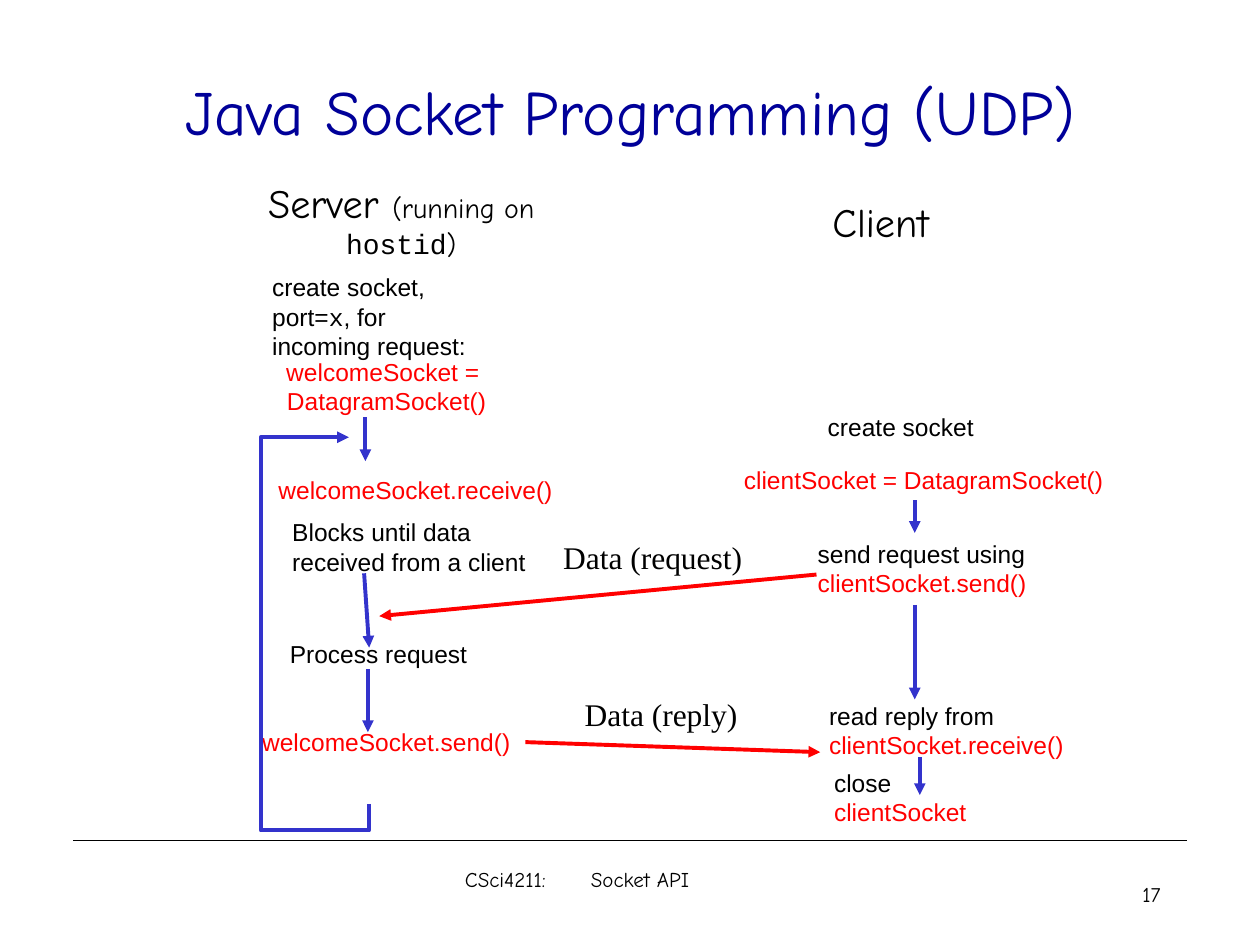
from lxml import etree
from pptx import Presentation
from pptx.dml.color import RGBColor
from pptx.enum.shapes import MSO_CONNECTOR
from pptx.enum.text import MSO_ANCHOR, PP_ALIGN
from pptx.oxml.ns import qn
from pptx.util import Pt

LEFT, CENTER, RIGHT = PP_ALIGN.LEFT, PP_ALIGN.CENTER, PP_ALIGN.RIGHT
TOP, MIDDLE = MSO_ANCHOR.TOP, MSO_ANCHOR.MIDDLE
STRAIGHT = MSO_CONNECTOR.STRAIGHT
PX = 9144
THEME = {
    "black": "000000", "navy": "000099", "red": "FF0000", "blue": "3333CC",
    "sans": "Arial", "comic": "Comic Neue", "mono": "Courier New", "serif": "Times New Roman",
    "title": 36, "heading": 23, "subheading": 16, "message": 18, "body": 14, "footer": 12,
    "rule": 0.75, "arrow": 2.25,
}

prs = Presentation()
prs.slide_width, prs.slide_height = 1000 * PX, 750 * PX
s = prs.slides.add_slide(prs.slide_layouts[6])


def add_text(lines, x, y, w, h, size="body", font="sans", color="black", align=LEFT,
             anchor=MIDDLE, wrap=False, inset=(0, 0, 4, 0), indent=6, tab=None):
    tf = s.shapes.add_textbox(x * PX, y * PX, w * PX, h * PX).text_frame
    tf.word_wrap, tf.vertical_anchor = wrap, anchor
    tf.margin_left, tf.margin_top, tf.margin_right, tf.margin_bottom = [m * PX for m in inset]
    for i, line in enumerate(lines):
        p = tf.paragraphs[0] if i == 0 else tf.add_paragraph()
        p.alignment = align
        pPr = p._p.get_or_add_pPr()
        pPr.set("marL", str(indent * PX))
        pPr.set("indent", "0")
        if tab:
            stops = etree.SubElement(pPr, qn("a:tabLst"))
            etree.SubElement(stops, qn("a:tab"), pos=str(tab * PX), algn="l")
        for text, style in [(line, {})] if isinstance(line, str) else line:
            r = p.add_run()
            r.text = text
            r.font.size = Pt(THEME[style.get("size", size)])
            r.font.name = THEME[style.get("font", font)]
            r.font.color.rgb = RGBColor.from_string(THEME[style.get("color", color)])


def style_line(sp, color="blue", width="arrow", head=True):
    sp.line.color.rgb = RGBColor.from_string(THEME[color])
    sp.line.width = Pt(THEME[width])
    spPr = sp._element.spPr
    if head:
        etree.SubElement(spPr.find(qn("a:ln")), qn("a:tailEnd"), type="triangle")
    etree.SubElement(spPr, qn("a:effectLst"))


RED = {"color": "red"}
SMALL = {"size": "subheading"}
FOOTER_INSET = (10, 5, 10, 5)

rule = s.shapes.add_connector(STRAIGHT, 58 * PX, 667 * PX, 942 * PX, 667 * PX)
style_line(rule, color="black", width="rule", head=False)

add_text(["Java Socket Programming (UDP)"], 75, 0, 850, 175, size="title", font="comic",
         color="navy", align=CENTER, wrap=True, inset=(10, 5, 13, 5), indent=4)

add_text([[("Server ", {}), ("(running on ", SMALL),
           ("hostid", {"size": "subheading", "font": "mono"}), (")", SMALL)]],
         166, 155, 303, 38, size="heading", font="comic", align=CENTER, wrap=True)
add_text(["Client"], 654, 157, 88, 38, size="heading", font="comic", align=CENTER)

add_text(["create socket,", [("port=", {}), ("x", {"font": "mono"}), (", for", {})],
          "incoming request:"], 210, 216, 165, 70)
add_text(["welcomeSocket = ", "DatagramSocket()"], 220, 283, 170, 47, color="red", align=RIGHT)
add_text(["welcomeSocket.receive()"], 215, 377, 229, 23, color="red")
add_text(["Blocks until data", "received from a client"], 226, 410, 234, 48, wrap=True)
add_text(["Process request"], 224, 507, 152, 23)
add_text(["welcomeSocket.send()"], 202, 577, 208, 23, color="red")

add_text(["create socket"], 651, 325, 143, 27, wrap=True)
add_text(["clientSocket = DatagramSocket()"], 584, 369, 296, 23, color="red", align=RIGHT)
add_text(["send request using", [("clientSocket.send()", RED)]], 643, 427, 210, 48, wrap=True)
add_text(["read reply from", [("clientSocket.receive()", RED)]], 652, 556, 197, 47)
add_text(["close", [("clientSocket", RED)]], 656, 609, 116, 47)

add_text(["Data (request)"], 441, 427, 153, 30, size="message", font="serif", anchor=TOP)
add_text(["Data (reply)"], 458, 552, 132, 30, size="message", font="serif", anchor=TOP)

for color, x1, y1, x2, y2 in [
    ("blue", 290, 331, 290, 366),
    ("blue", 289, 455, 293, 514),
    ("blue", 292, 531, 292, 581),
    ("blue", 726, 397, 726, 423),
    ("blue", 726, 480, 726, 555),
    ("blue", 730, 601, 730, 631),
    ("red", 648, 456, 301, 489),
    ("red", 417, 589, 651, 597),
]:
    arrow = s.shapes.add_connector(STRAIGHT, x1 * PX, y1 * PX, x2 * PX, y2 * PX)
    style_line(arrow, color=color)

outline = s.shapes.build_freeform(293, 638, scale=PX)
outline.add_line_segments([(293, 659), (207, 659), (207, 347), (277, 347)], close=False)
server_loop = outline.convert_to_shape()
server_loop.fill.background()
style_line(server_loop)

add_text(["17"], 706, 695, 225, 40, size="footer", font="comic", align=RIGHT,
         anchor=TOP, wrap=True, inset=FOOTER_INSET, indent=0)
add_text(["CSci4211:\tSocket API"], 333, 683, 325, 50, size="footer", font="comic",
         anchor=TOP, wrap=True, inset=(36, 5, 10, 5), indent=0, tab=175)

prs.save("out.pptx")
